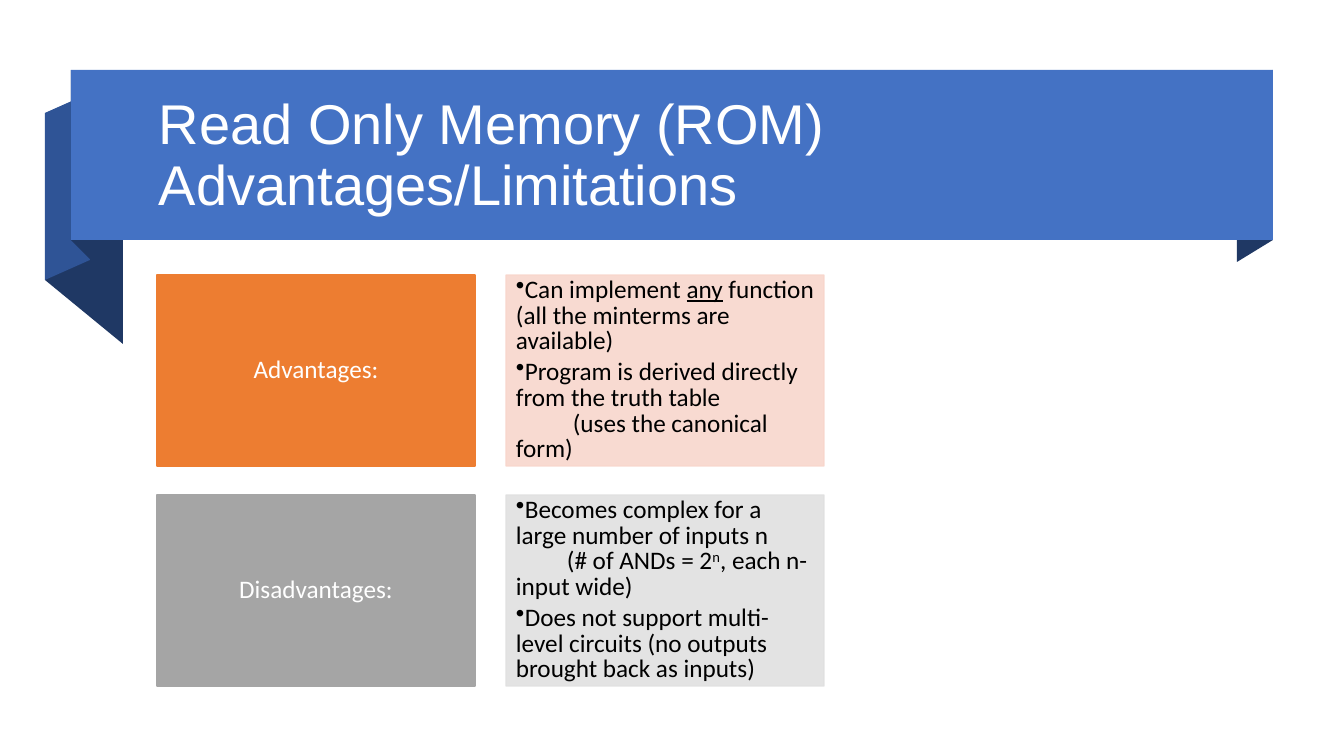
from dataclasses import dataclass

from lxml.etree import SubElement
from pptx import Presentation
from pptx.dml.color import RGBColor
from pptx.enum.shapes import MSO_SHAPE as Preset
from pptx.enum.text import MSO_ANCHOR as Anchor, PP_ALIGN as Align
from pptx.oxml.ns import qn
from pptx.util import Pt

SCALE = 914400 / 100.8
BREAK = "\v"
CARD_LEFT, CARD_TOP = 157, 275
CARD_WIDTH, CARD_HEIGHT = 318, 191
COLUMN_STEP, ROW_STEP = 349, 220


@dataclass(frozen=True)
class Fold:
    points: tuple[tuple[int, int], ...]
    color: str


@dataclass(frozen=True)
class Span:
    text: str
    underline: bool = False
    superscript: bool = False


@dataclass(frozen=True)
class Topic:
    label: str
    color: str
    tint: str
    tab: int
    bullets: tuple[tuple[Span, ...], ...]


FOLDS = (
    Fold(((1273, 240), (1237, 262), (1237, 92), (1273, 70)), "1F3864"),
    Fold(((123, 344), (45, 280), (45, 113), (123, 176)), "1F3864"),
    Fold(((90, 260), (45, 280), (45, 113), (90, 93)), "2F5496"),
    Fold(((90, 259), (71, 240), (71, 70), (90, 90)), "1F3864"),
)
TOPICS = (
    Topic("Advantages:", "ED7D31", "F8D6CC", 57, (
        (Span("Can implement "), Span("any", underline=True),
         Span(" function (all the minterms are available)")),
        (Span("Program is derived directly from the truth table"), Span(BREAK),
         Span("\t(uses the canonical form)")),
    )),
    Topic("Disadvantages:", "A5A5A5", "E0E0E0", 51, (
        (Span("Becomes complex for a large number of inputs n"), Span(BREAK),
         Span("\t(# of ANDs = 2"), Span("n", superscript=True),
         Span(", each n-input wide)")),
        (Span("Does not support multi-level circuits "
              "(no outputs brought back as inputs)"),),
    )),
)


def px(length: int) -> int:
    return round(length * SCALE)


def rgb(color: str) -> RGBColor:
    return RGBColor.from_string(color)


def set_font(para, name: str, size: int, color: str) -> None:
    para.font.name = name
    para.font.size = Pt(size)
    para.font.color.rgb = rgb(color)


def paint(shape, color: str) -> None:
    shape.shadow.inherit = False
    shape.fill.solid()
    shape.fill.fore_color.rgb = rgb(color)
    shape.line.fill.background()


def draw_fold(page, fold: Fold) -> None:
    start, *rest = fold.points
    builder = page.shapes.build_freeform(*start, scale=SCALE)
    builder.add_line_segments(rest, close=True)
    paint(builder.convert_to_shape(), fold.color)


def draw_box(page, left: int, top: int, width: int, height: int, color: str):
    box = page.shapes.add_shape(
        Preset.RECTANGLE, px(left), px(top), px(width), px(height))
    paint(box, color)
    box.text_frame.word_wrap = True
    box.text_frame.vertical_anchor = Anchor.MIDDLE
    return box


def draw_card(page, column: int, row: int, color: str):
    box = draw_box(page, CARD_LEFT + column * COLUMN_STEP,
                   CARD_TOP + row * ROW_STEP, CARD_WIDTH, CARD_HEIGHT, color)
    box.line.width = Pt(1)
    box.line.color.rgb = rgb(color)
    return box


def make_translucent(box, percent: int) -> None:
    for color in list(box._element.spPr.iter(qn("a:srgbClr"))):
        SubElement(color, qn("a:alpha"), val=str(percent * 1000))


def add_bullet(para, tab: int) -> None:
    props = para._p.get_or_add_pPr()
    props.set("marL", "0")
    props.set("indent", "0")
    SubElement(props, qn("a:buChar"), char="•")
    tabs = SubElement(props, qn("a:tabLst"))
    SubElement(tabs, qn("a:tab"), pos=str(px(tab)), algn="l")


def write_span(para, span: Span) -> None:
    if span.text == BREAK:
        para.add_line_break()
        return
    run = para.add_run()
    run.text = span.text
    if span.underline:
        run.font.underline = True
    if span.superscript:
        run.font._element.set("baseline", "30000")


def draw_topic(page, row: int, topic: Topic) -> None:
    para = draw_card(page, 0, row, topic.color).text_frame.paragraphs[0]
    para.text = topic.label
    para.alignment = Align.CENTER
    para.line_spacing = 0.85
    set_font(para, "Calibri", 18, "FFFFFF")

    box = draw_card(page, 1, row, topic.tint)
    make_translucent(box, 90)
    for index, spans in enumerate(topic.bullets):
        frame = box.text_frame
        para = frame.add_paragraph() if index else frame.paragraphs[0]
        para.alignment = Align.LEFT
        para.line_spacing = 0.85
        para.space_before = Pt(3.6 if index else 0)
        add_bullet(para, topic.tab)
        set_font(para, "Calibri", 18, "000000")
        for span in spans:
            write_span(para, span)


def draw_title(page, text: str) -> None:
    box = page.shapes.add_textbox(px(149), px(84), px(1103), px(146))
    box.text_frame.word_wrap = True
    box.text_frame.vertical_anchor = Anchor.MIDDLE
    para = box.text_frame.paragraphs[0]
    para.text = text
    para.line_spacing = 0.9
    set_font(para, "Arial", 40, "FFFFFF")


def main() -> None:
    """Build the ROM advantages and limitations slide."""
    deck = Presentation()
    deck.slide_width, deck.slide_height = px(1344), px(756)
    page = deck.slides.add_slide(deck.slide_layouts[6])
    for fold in FOLDS:
        draw_fold(page, fold)
    draw_box(page, 71, 70, 1202, 170, "4472C4")
    draw_title(page, "Read Only Memory (ROM) Advantages/Limitations")
    for row, topic in enumerate(TOPICS):
        draw_topic(page, row, topic)
    deck.save("out.pptx")


main()
